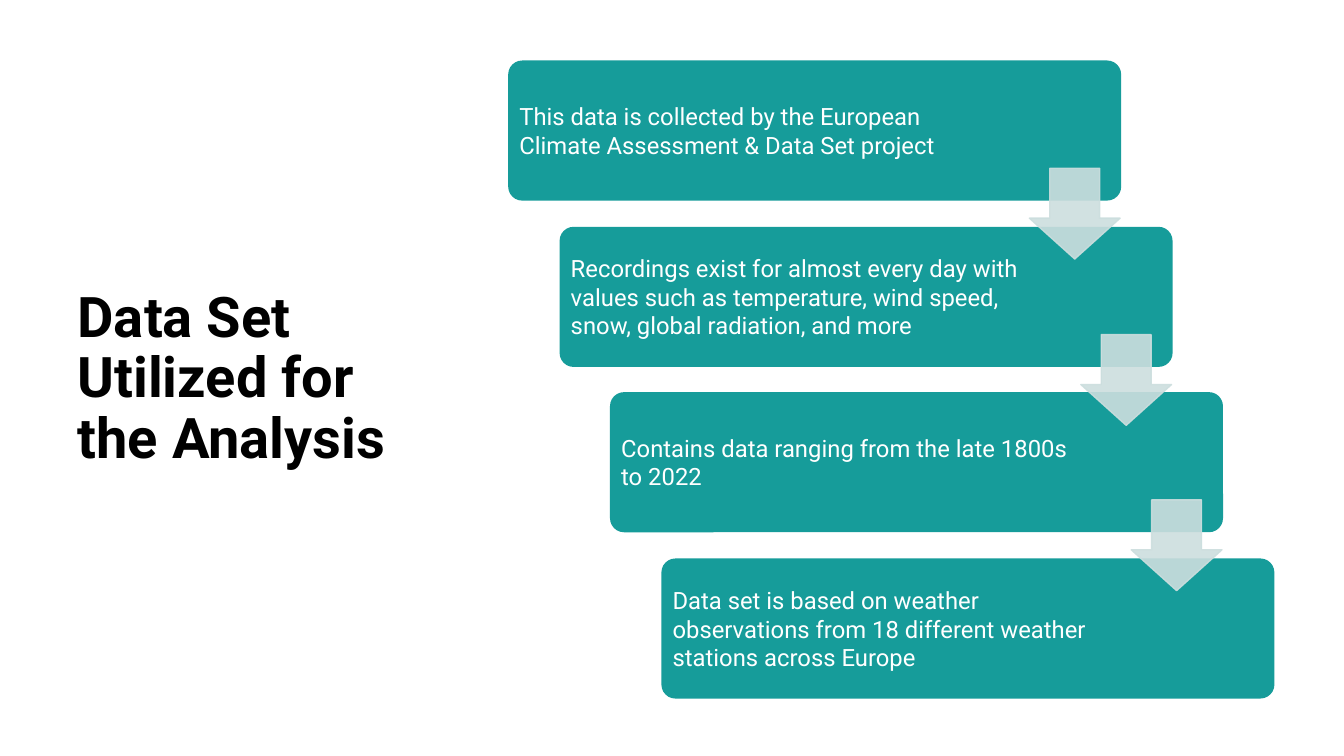
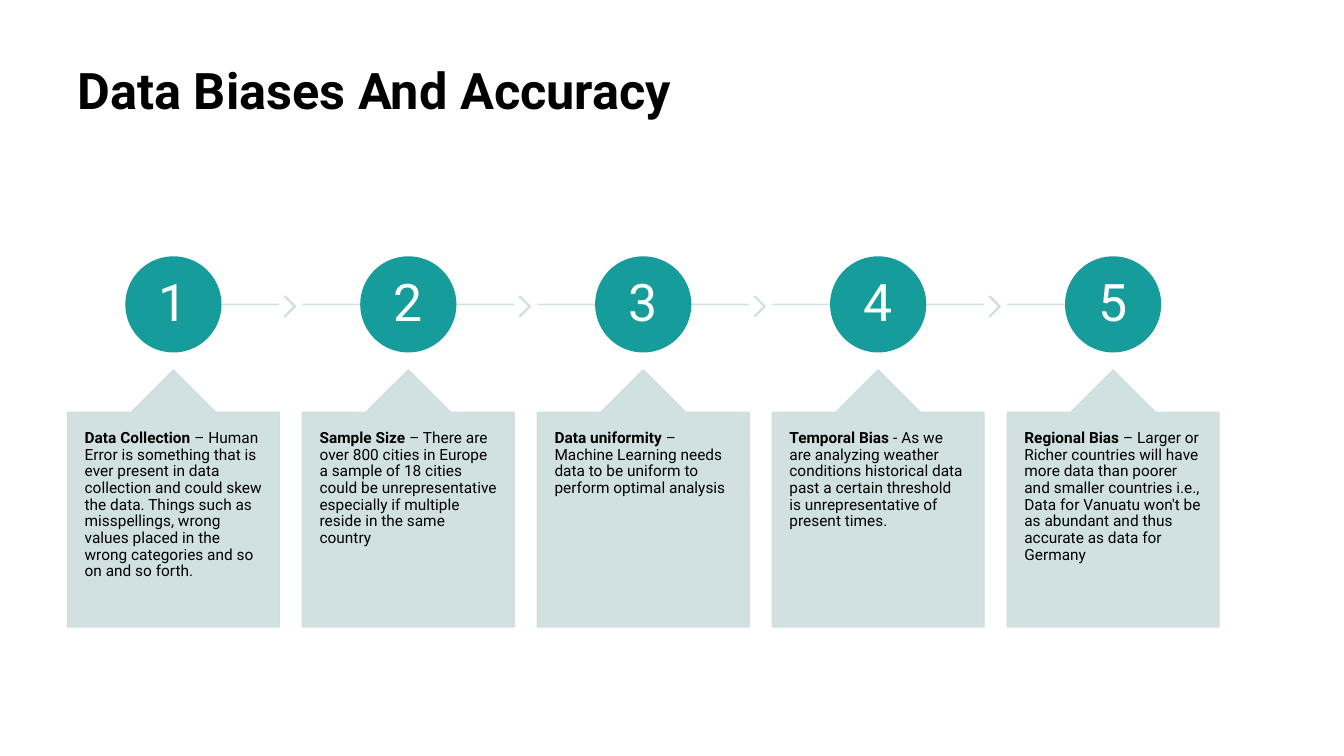
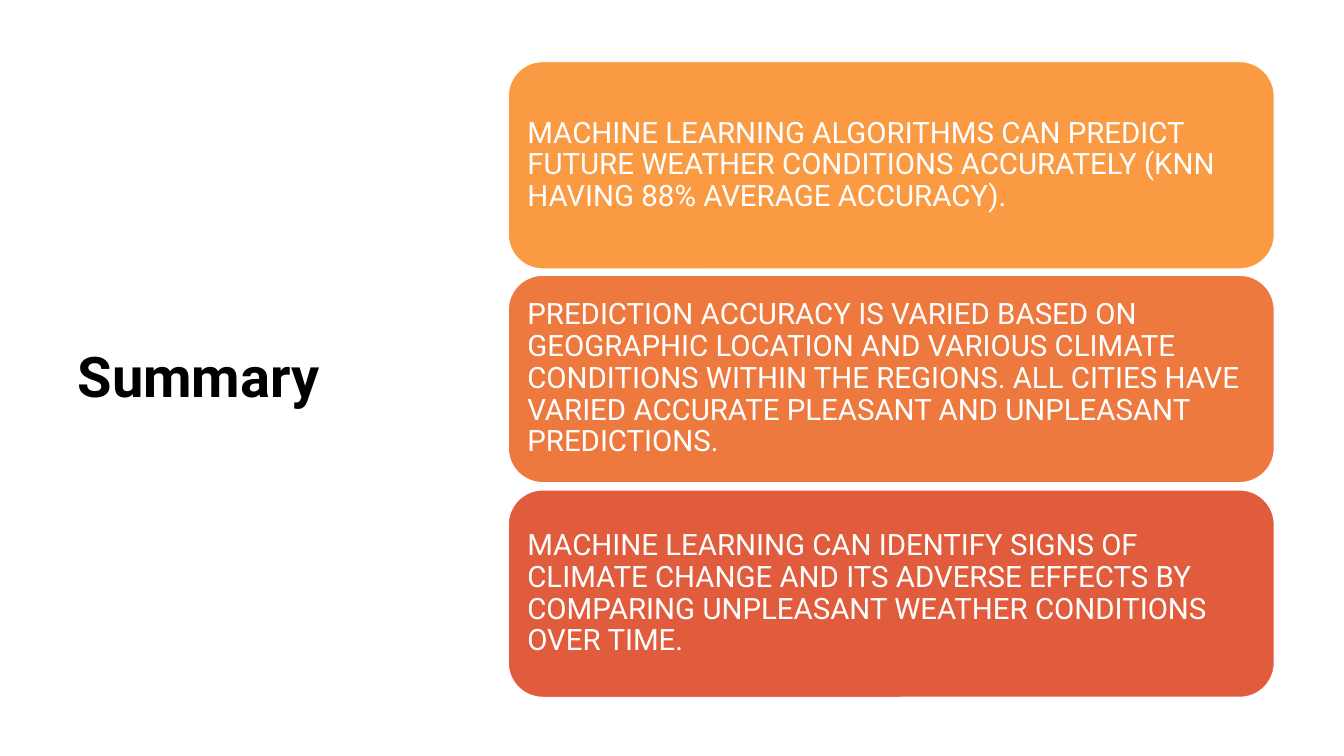
from lxml import etree
from pptx import Presentation
from pptx import util as u
from pptx.dml.color import RGBColor
from pptx.enum import shapes, text
from pptx.oxml import ns

PX = 9144
FONT = "Roboto"
TEAL, MIST, WHITE, BLACK = "169C9A", "CCDEDE", "FFFFFF", "000000"
SIDE = (67, 60, 382, 633)
TOP = (67, 60, 1165, 124)
KIND = shapes.MSO_SHAPE
MID = text.MSO_ANCHOR.MIDDLE
HIGH = text.MSO_ANCHOR.TOP
LEFT = text.PP_ALIGN.LEFT
MARGINS = ("margin_left", "margin_top", "margin_right", "margin_bottom")

STEPS = (
    "This data is collected by the European Climate Assessment & Data Set project",
    "Recordings exist for almost every day with values such as temperature, wind speed, "
    "snow, global radiation, and more",
    "Contains data ranging from the late 1800s to 2022",
    "Data set is based on weather observations from 18 different weather stations across Europe",
)
BIASES = (
    ("Data Collection ", "– Human Error is something that is ever present in data collection "
     "and could skew the data. Things such as misspellings, wrong values placed in the wrong "
     "categories and so on and so forth."),
    ("Sample Size ", "– There are over 800 cities in Europe a sample of 18 cities could be "
     "unrepresentative especially if multiple reside in the same country"),
    ("Data uniformity ", "– Machine Learning needs data to be uniform to perform optimal analysis"),
    ("Temporal Bias ", "- As we are analyzing weather conditions historical data past a certain "
     "threshold is unrepresentative of present times."),
    ("Regional Bias ", "– Larger or Richer countries will have more data than poorer and smaller "
     "countries i.e., Data for Vanuatu won't be as abundant and thus accurate as data for Germany"),
)
POINTS = (
    ("FA9A42", "MACHINE LEARNING ALGORITHMS CAN PREDICT FUTURE WEATHER CONDITIONS ACCURATELY "
     "(KNN HAVING 88% AVERAGE ACCURACY)."),
    ("EE793F", "PREDICTION ACCURACY IS VARIED BASED ON GEOGRAPHIC LOCATION AND VARIOUS CLIMATE "
     "CONDITIONS WITHIN THE REGIONS. ALL CITIES HAVE VARIED ACCURATE PLEASANT AND UNPLEASANT "
     "PREDICTIONS."),
    ("E15C3D", "MACHINE LEARNING CAN IDENTIFY SIGNS OF CLIMATE CHANGE AND ITS ADVERSE EFFECTS BY "
     "COMPARING UNPLEASANT WEATHER CONDITIONS OVER TIME."),
)


def color(code):
    """Return the colour of a hex string."""
    return RGBColor.from_string(code)


def px(*sizes):
    """Turn pixel lengths into EMU."""
    return [u.Emu(size * PX) for size in sizes]


def apply(thing, style):
    """Set each attribute named in a dict."""
    for name, value in style.items():
        setattr(thing, name, value)


def fade(part):
    """Make the fill and line of a part 90 % opaque."""
    for tag in part._element.spPr.iter(ns.qn("a:srgbClr")):
        etree.SubElement(tag, ns.qn("a:alpha"), val="90000")


def edge(part, code):
    """Give a part a one-point line."""
    part.line.color.rgb = color(code)
    part.line.width = u.Pt(1)


def shape(slide, kind, box, fill, line=None, adj=(), faint=False):
    """Add a filled preset shape."""
    part = slide.shapes.add_shape(kind, *px(*box))
    part.shadow.inherit = False
    part.fill.solid()
    part.fill.fore_color.rgb = color(fill)
    if line:
        edge(part, line)
    else:
        part.line.fill.background()
    for i, value in enumerate(adj):
        part.adjustments[i] = value
    if faint:
        fade(part)
    return part


def write(part, runs, size, ink, pad, anchor=MID, align=LEFT, lead=0.9):
    """Write (words, bold) runs as one paragraph."""
    frame = part.text_frame
    apply(frame, {"word_wrap": True, "auto_size": text.MSO_AUTO_SIZE.NONE,
                  "vertical_anchor": anchor, **dict(zip(MARGINS, px(*pad)))})
    para = frame.paragraphs[0]
    apply(para, {"alignment": align, "line_spacing": lead})
    for words, bold in runs:
        run = para.add_run()
        run.text = words
        apply(run.font, {"name": FONT, "size": u.Pt(size), "bold": bold})
        run.font.color.rgb = color(ink)


def page(deck, words, box, size, anchor=MID):
    """Add a slide with its title."""
    slide = deck.slides.add_slide(deck.slide_layouts[5])
    title = slide.shapes.title
    apply(title, dict(zip(("left", "top", "width", "height"), px(*box))))
    write(title, [(words, True)], size, BLACK, (10, 5, 10, 5), anchor)
    return slide


def stairs(slide, box):
    """Place the steps down a staircase, then the arrows between them."""
    left, top, width, height = box
    wide, high = 608, 139
    last = len(STEPS) - 1
    spots = [(left + round((width - wide) * i / last), top + round((height - high) * i / last))
             for i in range(len(STEPS))]
    for (x, y), words in zip(spots, STEPS):
        step = shape(slide, KIND.ROUNDED_RECTANGLE, (x, y, wide, high), TEAL, adj=(0.1,))
        write(step, [(words, False)], 17, WHITE, (7, 7, 149, 7), lead=1.0)
    for x, y in spots[:-1]:
        shape(slide, KIND.DOWN_ARROW, (x + 517, y + 107, 90, 90), MIST, MIST, (0.55, 0.45), True)


def rule(slide, start, end, y):
    """Draw a thin level line."""
    line = slide.shapes.add_connector(shapes.MSO_CONNECTOR.STRAIGHT, *px(start, y, end, y))
    edge(line, MIST)
    fade(line)
    etree.SubElement(line._element.spPr, ns.qn("a:effectLst"))


def bias(slide, box, i):
    """Place one numbered bias with its callout."""
    x, y, width, height = box
    last = i == len(BIASES) - 1
    rule(slide, x if i else x + 117, x + width // 2 if last else x + width, y + 47)
    if not last:
        shape(slide, KIND.CHEVRON, (x + width + 5, y + 39, 11, 20), MIST, MIST, (0.9,), True)
    disc = shape(slide, KIND.OVAL, (x + 58, y, 94, 94), TEAL, TEAL)
    write(disc, [(str(i + 1), False)], 37, WHITE, (4, 4, 4, 4), align=text.PP_ALIGN.CENTER)
    card = shape(slide, KIND.UP_ARROW_CALLOUT, (x, y + 112, width, height - 112), MIST, MIST,
                 (0.5, 0.2, 0.2, 1), True)
    head, body = BIASES[i]
    write(card, [(head, True), (body, False)], 11, BLACK, (17, 18, 17, 18), HIGH)


def track(slide, box):
    """Place the biases in equal columns."""
    left, top, width, height = box
    wide = 210
    pitch = (width - wide) // (len(BIASES) - 1)
    for i in range(len(BIASES)):
        bias(slide, (left + pitch * i, top, wide, height), i)


def stack(slide, box):
    """Place the summary points one below another."""
    left, top, width, height = box
    high = 206
    for i, (fill, words) in enumerate(POINTS):
        y = top + round((height - high) * i / (len(POINTS) - 1))
        point = shape(slide, KIND.ROUNDED_RECTANGLE, (left, y, width, high), fill, WHITE)
        write(point, [(words, False)], 21, WHITE, (9, 9, 9, 9))


def main():
    """Build the three slides."""
    deck = Presentation()
    deck.slide_width, deck.slide_height = px(1333, 750)
    stairs(page(deck, "Data Set Utilized for the Analysis", SIDE, 40), (504, 60, 760, 633))
    track(page(deck, "Data Biases And Accuracy", TOP, 36, HIGH), (67, 255, 1142, 367))
    stack(page(deck, "Summary", SIDE, 40), (504, 61, 760, 631))
    deck.save("out.pptx")


if __name__ == "__main__":
    main()
